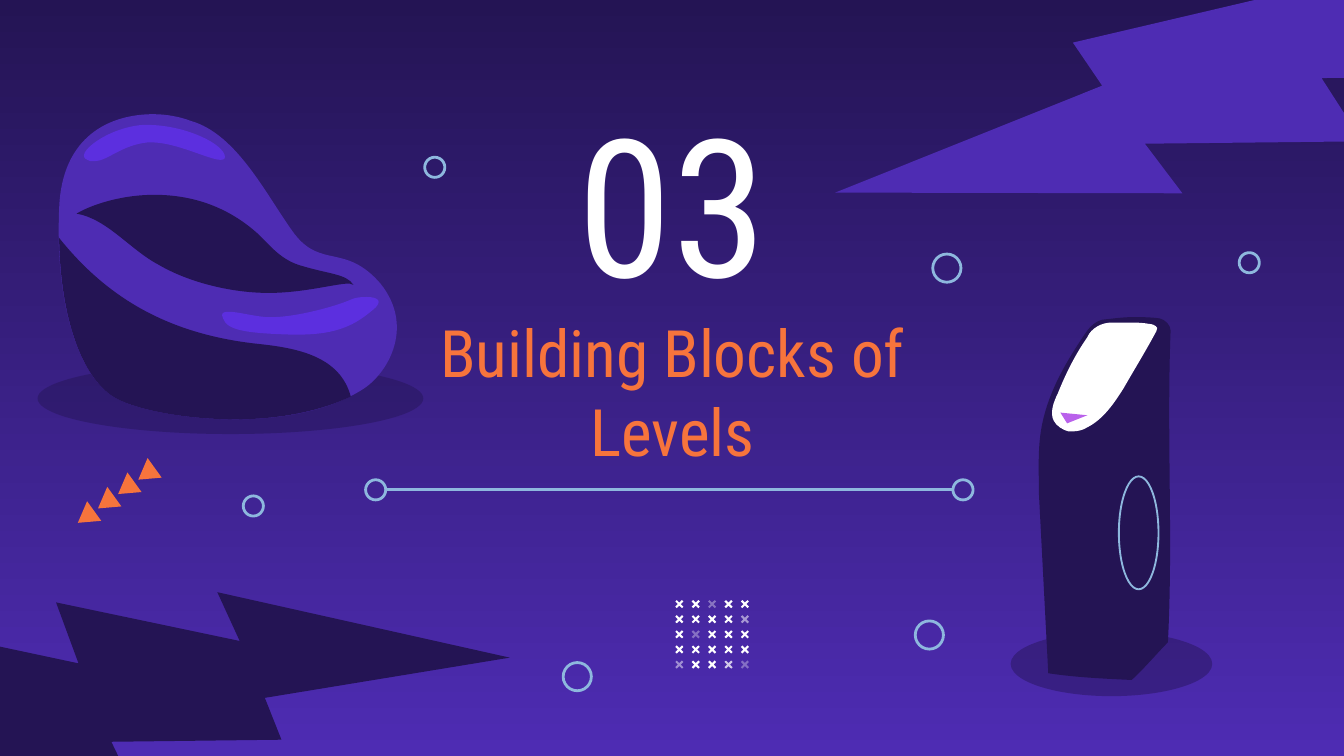
from dataclasses import dataclass

from lxml import etree
from pptx import Presentation
from pptx.dml.color import RGBColor
from pptx.enum.shapes import MSO_CONNECTOR, MSO_SHAPE
from pptx.enum.text import MSO_ANCHOR, PP_ALIGN
from pptx.oxml.ns import qn
from pptx.util import Inches, Pt


@dataclass(frozen=True)
class Theme:
    night: str = "241454"
    violet: str = "4E2CB3"
    shine: str = "5C2FDF"
    sky: str = "8EB8DE"
    orange: str = "F7743C"
    white: str = "FFFFFF"
    orchid: str = "B961EB"
    font: str = "Roboto Condensed"
    number_size: float = 103
    title_size: float = 35
    stroke: float = 1.5
    thin_stroke: float = 1


THEME = Theme()


# The slide is a grid of 1000 columns; rows have the same pitch
def cells(count):
    return Inches(count / 100)


def paint(shape, fill=None, line=None, width=THEME.stroke, opacity=100, rotation=0, flip=False):
    shape.shadow.inherit = False
    if fill:
        shape.fill.solid()
        shape.fill.fore_color.rgb = RGBColor.from_string(fill)
        if opacity < 100:
            color = shape._element.spPr.find(qn("a:solidFill"))[0]
            etree.SubElement(color, qn("a:alpha")).set("val", str(opacity * 1000))
    else:
        shape.fill.background()
    if line:
        shape.line.color.rgb = RGBColor.from_string(line)
        shape.line.width = Pt(width)
    else:
        shape.line.fill.background()
    shape.rotation = rotation
    if flip:
        shape._element.spPr.find(qn("a:xfrm")).set("flipH", "1")


def place(slide, kind, box, adjust=None, **style):
    shape = slide.shapes.add_shape(kind, *map(cells, box))
    if adjust is not None:
        shape.adjustments[0] = adjust
    paint(shape, **style)


def outline(slide, origin, fill, start, *segments):
    """Fill a closed path: a segment of 2 numbers is a line, of 6 a cubic curve."""
    left, top = origin
    first, *ends = [(cells(left + x), cells(top + y))
                    for x, y in (start, *(segment[-2:] for segment in segments))]
    builder = slide.shapes.build_freeform(*first, scale=1.0)
    builder.add_line_segments(ends, close=True)
    shape = builder.convert_to_shape()
    # Bend the straight segments that have control points
    sides = list(shape._element.iter(qn("a:lnTo")))
    for side, segment in zip(sides, segments):
        if len(segment) == 2:
            continue
        curve = etree.Element(qn("a:cubicBezTo"))
        for x, y in zip(segment[::2], segment[1::2]):
            point = etree.SubElement(curve, qn("a:pt"))
            point.set("x", str(cells(left + x) - shape.left))
            point.set("y", str(cells(top + y) - shape.top))
        side.getparent().replace(side, curve)
    paint(shape, fill)


def heading(slide, box, text, size, color, anchor):
    label = slide.shapes.add_textbox(*map(cells, box))
    frame = label.text_frame
    frame.word_wrap = True
    frame.vertical_anchor = anchor
    frame.margin_left = frame.margin_right = cells(10)
    frame.margin_top = frame.margin_bottom = cells(10.5)
    paragraph = frame.paragraphs[0]
    paragraph.text = text
    paragraph.alignment = PP_ALIGN.CENTER
    paragraph.font.name = THEME.font
    paragraph.font.size = Pt(size)
    paragraph.font.color.rgb = RGBColor.from_string(color)


def beanbag(slide, left, top):
    origin = left, top
    # Floor shadow
    place(slide, MSO_SHAPE.OVAL, (left, top + 185, 287, 53), fill=THEME.night, opacity=46)
    # Body
    outline(slide, origin, THEME.violet, (86, 0),
            (96, 0, 106, 2, 114, 5), (149, 15, 171, 62, 191, 89),
            (211, 115, 229, 96, 255, 126), (280, 157, 262, 191, 243, 204),
            (217, 221, 181, 227, 147, 227), (107, 227, 70, 219, 56, 210),
            (30, 193, 13, 141, 16, 70), (18, 16, 54, 0, 86, 0))
    # Dark base
    outline(slide, origin, THEME.night, (16, 92),
            (52, 137, 98, 164, 165, 171), (193, 174, 225, 180, 233, 210),
            (208, 222, 177, 227, 147, 227), (107, 227, 70, 219, 56, 210),
            (33, 195, 17, 152, 16, 92))
    # Seat hollow
    outline(slide, origin, THEME.night, (87, 60),
            (112, 60, 140, 67, 165, 90), (174, 99, 182, 109, 197, 113),
            (217, 119, 230, 119, 235, 127), (234, 126, 233, 126, 232, 126),
            (222, 126, 198, 133, 172, 133), (144, 133, 112, 125, 90, 112),
            (69, 101, 52, 78, 29, 74), (39, 68, 61, 60, 87, 60))
    # Highlights on the back and the front
    outline(slide, origin, THEME.shine, (82, 8),
            (107, 8, 135, 20, 139, 30), (140, 33, 139, 34, 136, 34),
            (128, 34, 103, 21, 85, 21), (84, 21, 83, 21, 82, 21),
            (62, 23, 52, 35, 42, 35), (40, 35, 38, 35, 37, 34),
            (26, 30, 52, 10, 78, 8), (79, 8, 81, 8, 82, 8))
    outline(slide, origin, THEME.shine, (245, 136),
            (253, 136, 258, 139, 249, 146), (237, 156, 224, 164, 194, 164),
            (192, 164, 191, 164, 189, 164),
            (156, 163, 141, 161, 138, 152), (136, 148, 138, 147, 142, 147),
            (149, 147, 159, 150, 170, 151), (172, 151, 173, 151, 175, 151),
            (192, 151, 222, 143, 233, 138), (237, 136, 242, 136, 245, 136))


def kiosk(slide, left, top):
    origin = left, top
    # Floor shadow
    place(slide, MSO_SHAPE.OVAL, (left, top + 234, 150, 48), fill=THEME.night, opacity=46)
    # Cabinet
    outline(slide, origin, THEME.night, (91, 0),
            (84, 0, 77, 1, 68, 2), (64, 3, 60, 6, 57, 10),
            (42, 32, 28, 55, 23, 82), (20, 98, 21, 114, 21, 131), (28, 265),
            (48, 268, 68, 269, 90, 270), (98, 263, 109, 250, 117, 242),
            (121, 165, 116, 88, 119, 10), (119, 6, 115, 2, 111, 1),
            (104, 0, 97, 0, 91, 0))
    # Screen
    outline(slide, origin, THEME.white, (87, 4),
            (83, 4, 79, 4, 76, 4), (76, 4, 76, 4, 75, 4),
            (68, 4, 60, 8, 57, 15), (48, 28, 41, 42, 35, 57),
            (32, 63, 29, 71, 32, 77), (34, 81, 39, 84, 43, 85), (44, 85, 45, 85, 46, 85),
            (50, 85, 54, 84, 57, 82), (69, 76, 77, 64, 84, 53),
            (92, 39, 100, 26, 107, 13), (108, 11, 109, 10, 109, 8),
            (108, 6, 105, 5, 103, 5), (98, 4, 92, 4, 87, 4))
    # Side ring and screen marker
    place(slide, MSO_SHAPE.OVAL, (left + 80.5, top + 118.5, 29.5, 84),
          line=THEME.sky, width=THEME.thin_stroke)
    outline(slide, origin, THEME.orchid, (37, 71), (42, 79), (57, 73))


def bolt(slide, left, top, side, rotation, color):
    place(slide, MSO_SHAPE.LIGHTNING_BOLT, (left, top, side, side),
          fill=color, rotation=rotation, flip=True)


def ring(slide, left, top, size):
    place(slide, MSO_SHAPE.OVAL, (left, top, size, size), line=THEME.sky)


def divider(slide, left, top, width, ring_size=15):
    middle = top + ring_size / 2
    rule = slide.shapes.add_connector(
        MSO_CONNECTOR.STRAIGHT, cells(left + width - ring_size), cells(middle),
        cells(left + ring_size), cells(middle))
    rule.line.color.rgb = RGBColor.from_string(THEME.sky)
    rule.line.width = Pt(THEME.stroke)
    etree.SubElement(rule._element.spPr, qn("a:effectLst"))
    for end in (left, left + width - ring_size):
        ring(slide, end, top, ring_size)


def triangle_trail(slide, left, top):
    for step in range(4):
        place(slide, MSO_SHAPE.ISOSCELES_TRIANGLE,
              (left + 15 * (3 - step), top + 10.7 * step, 18, 15),
              fill=THEME.orange, rotation=234.2)


def cross_grid(slide, left, top):
    faded = {(0, 2): 36, (1, 4): 53, (2, 1): 34, (4, 0): 48, (4, 3): 75, (4, 4): 33}
    for row in range(5):
        for column in range(5):
            place(slide, MSO_SHAPE.CROSS, (left + 12.2 * column, top + 11.25 * row, 7, 7),
                  adjust=0.39, fill=THEME.white, rotation=315,
                  opacity=faded.get((row, column), 100))


def section_slide(deck):
    slide = deck.slides.add_slide(deck.slide_layouts[6])
    # Background running from dark at the top to violet
    backdrop = slide.background.fill
    backdrop.gradient()
    backdrop.gradient_angle = 270
    for stop, color, position in zip(backdrop.gradient_stops, (THEME.night, THEME.violet), (0, 1)):
        stop.color.rgb = RGBColor.from_string(color)
        stop.position = position
    bolt(slide, 698, -141, 417, 30.1, THEME.violet)
    # Section number and title
    heading(slide, (379, 88, 243, 122), "03", THEME.number_size, THEME.white, MSO_ANCHOR.MIDDLE)
    heading(slide, (268, 222, 465, 256), "Building Blocks of Levels",
            THEME.title_size, THEME.orange, MSO_ANCHOR.TOP)
    # Illustrations
    beanbag(slide, 28, 85)
    kiosk(slide, 752, 236)
    bolt(slide, -55, 320, 360, 222.6, THEME.night)
    # Ornaments
    divider(slide, 272, 357, 452)
    for left, top, size in ((316, 117, 15), (181, 369, 15), (922, 188, 15),
                            (694, 189, 21), (681, 462, 21), (419, 493, 21)):
        ring(slide, left, top, size)
    triangle_trail(slide, 55, 345)
    cross_grid(slide, 502, 446)


def main():
    deck = Presentation()
    deck.slide_width, deck.slide_height = cells(1000), cells(562.5)
    section_slide(deck)
    deck.save("out.pptx")


if __name__ == "__main__":
    main()
